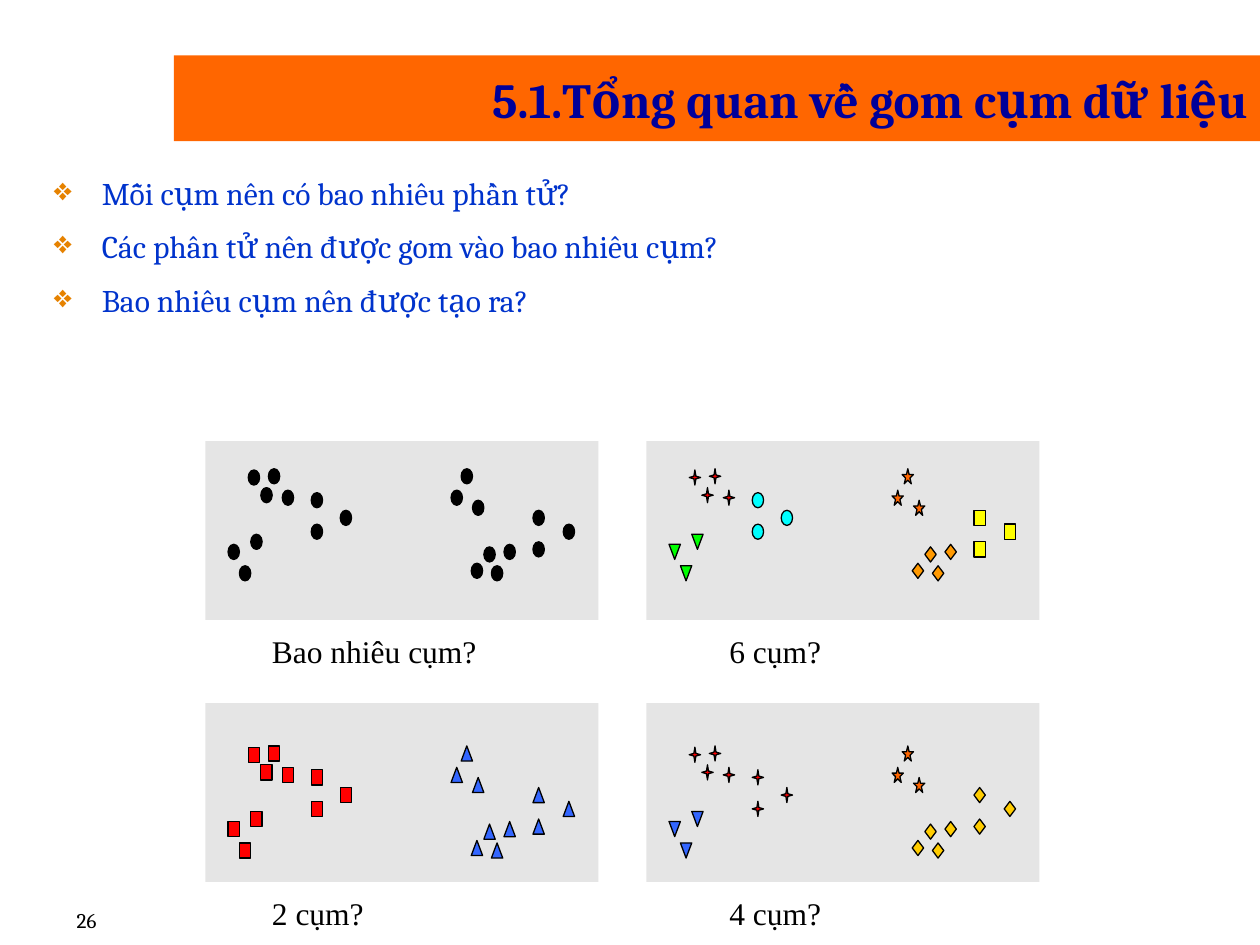
from lxml import etree
from pptx import Presentation
from pptx.dml.color import RGBColor
from pptx.enum.shapes import MSO_SHAPE
from pptx.enum.text import MSO_ANCHOR, PP_ALIGN
from pptx.oxml.ns import qn
from pptx.util import Pt

PX = 9144
RECT, OVAL = MSO_SHAPE.RECTANGLE, MSO_SHAPE.OVAL
GEM, PEAK = MSO_SHAPE.DIAMOND, MSO_SHAPE.ISOSCELES_TRIANGLE
FLOW = MSO_SHAPE.FLOWCHART_EXTRACT
STAR, SPARK = MSO_SHAPE.STAR_5_POINT, MSO_SHAPE.STAR_4_POINT
TOP, MIDDLE = MSO_ANCHOR.TOP, MSO_ANCHOR.MIDDLE
LEFT, RIGHT = PP_ALIGN.LEFT, PP_ALIGN.RIGHT

SPOTS = {
    "low": [(237, 82), (211, 97), (227, 99), (221, 84)],
    "high": [(212, 47), (195, 39), (203, 22)],
    "far": [(260, 80), (284, 66), (260, 55)],
    "peak": [(61, 39), (34, 23), (50, 22), (44, 37)],
    "base": [(36, 74), (18, 82), (27, 99)],
    "mid": [(84, 41), (107, 55), (84, 66)],
}
FLIPPED = ("peak", "base", "mid")

DOT = (OVAL, "000000")
BOX = (RECT, "FF0000")
CONE = (PEAK, "3366FF")
RED = (SPARK, "FF0000")
SUN = (STAR, "FF6600")
GOLD = (GEM, "FFCC00")
PANELS = [
    (163, 350, "Bao nhiêu cụm?", 43, 0, [DOT] * 6),
    (513, 350, "6 cụm?", 56, 0,
     [(GEM, "FF9900"), SUN, (RECT, "FFFF00"), RED, (PEAK, "00FF00"), (OVAL, "00FFFF")]),
    (163, 558, "2 cụm?", 43, 12, [CONE] * 3 + [BOX] * 3),
    (513, 558, "4 cụm?", 56, 12, [GOLD, SUN, GOLD, RED, (FLOW, "3366FF"), RED]),
]


def color(code):
    return RGBColor.from_string(code)


def scale(box):
    return [n * PX for n in box]


def shape(shapes, kind, box, fill, line=None):
    item = shapes.add_shape(kind, *scale(box))
    item.shadow.inherit = False
    item.fill.solid()
    item.fill.fore_color.rgb = color(fill)
    if line:
        item.line.color.rgb = color(line)
        item.line.width = Pt(0.75)
    else:
        item.line.fill.background()
    return item


def write(shapes, box, lines, font, size, ink, bold=False, align=LEFT, anchor=TOP):
    frame = shapes.add_textbox(*scale(box)).text_frame
    frame.word_wrap = True
    frame.vertical_anchor = anchor
    frame.text = "\n".join(lines)
    for para in frame.paragraphs:
        para.alignment = align
        para.font.name = font
        para.font.size = Pt(size)
        para.font.bold = bold
        para.font.color.rgb = color(ink)
    return frame


def bullet(para):
    props = para._p.get_or_add_pPr()
    props.set("marL", str(38 * PX))
    props.set("indent", str(-38 * PX))
    space = etree.Element(qn("a:spcBef"))
    etree.SubElement(space, qn("a:spcPct"), val="50000")
    tint = etree.Element(qn("a:buClr"))
    etree.SubElement(tint, qn("a:srgbClr"), val="E68200")
    mark = etree.Element(qn("a:buChar"), char="❖")
    for spot, node in enumerate((space, tint, mark)):
        props.insert(spot, node)


def header(shapes, x, y, w, h):
    shape(shapes, RECT, (x, y, w, h), "FF6600")
    write(shapes, (x + 7, y + 8, w - 7, h - 15), ["5.1.Tổng quan về gom cụm dữ liệu"],
          "Cambria", 28, "000099", True, RIGHT, MIDDLE)


def body(shapes, box):
    lines = ["Mỗi cụm nên có bao nhiêu phần tử?",
             "Các phân tử nên được gom vào bao nhiêu cụm?",
             "Bao nhiêu cụm nên được tạo ra?"]
    for para in write(shapes, box, lines, "Cambria", 18, "0033CC").paragraphs:
        bullet(para)


def panel(shapes, x, y, label, inset, drop, marks):
    shape(shapes, RECT, (x, y, 312, 142), "E5E5E5")
    group = shapes.add_group_shape().shapes
    for (zone, spots), (kind, fill) in zip(SPOTS.items(), marks):
        for left, top in spots:
            item = shape(group, kind, (x + left, y + top + drop, 9, 12), fill, "000000")
            if zone in FLIPPED:
                item._element.spPr.get_or_add_xfrm().set("flipV", "1")
    write(group, (x + inset, y + 147, 188, 40), [label], "Times New Roman", 18, "000000")


def main():
    deck = Presentation()
    deck.slide_width, deck.slide_height = scale((1000, 750))
    shapes = deck.slides.add_slide(deck.slide_layouts[6]).shapes
    header(shapes, 138, 44, 862, 68)
    body(shapes, (33, 133, 967, 558))
    for spec in PANELS:
        panel(shapes, *spec)
    write(shapes, (51, 715, 181, 35), ["26"], "Cambria", 12, "000000")
    deck.save("out.pptx")


if __name__ == "__main__":
    main()
